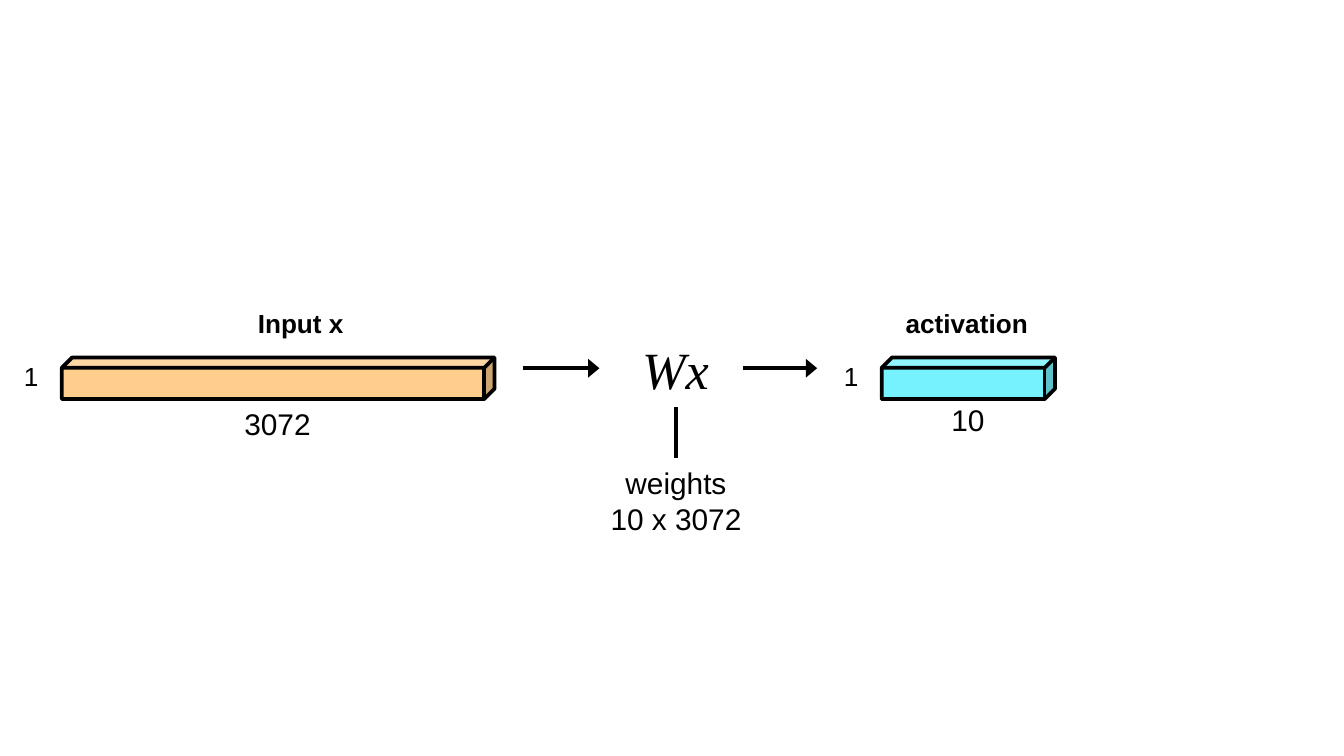
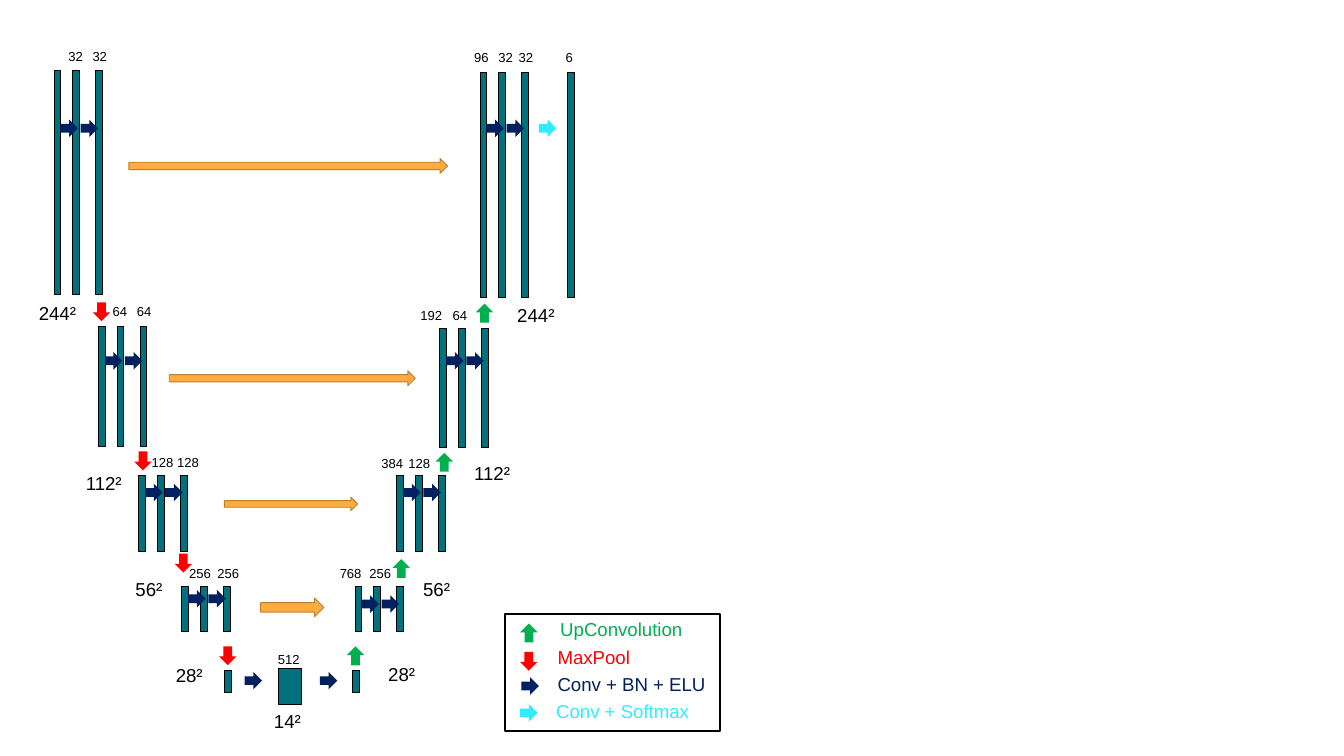
"""Build two network diagrams: a linear layer and a U-Net."""
from lxml.etree import SubElement
from pptx import Presentation
from pptx.dml.color import RGBColor
from pptx.enum.shapes import MSO_CONNECTOR, MSO_SHAPE as SHAPE
from pptx.enum.text import MSO_AUTO_SIZE, PP_ALIGN
from pptx.oxml.ns import qn
from pptx.util import Inches, Pt

rgb = RGBColor.from_string
BLACK, TEAL, NAVY = "000000", "00717D", "002060"
GREEN, RED, CYAN = "00B050", "FF0000", "31EBFF"
ORANGE, BROWN = "FFAB40", "BD7F2F"
ARROW = 0.13


def add_shape(s, kind, x, y, w, h, fill=None, line=None, width=0.25, rotation=0):
    sp = s.shapes.add_shape(kind, Inches(x), Inches(y), Inches(w), Inches(h))
    sp.shadow.inherit = False
    sp.rotation = rotation
    if fill:
        sp.fill.solid()
        sp.fill.fore_color.rgb = rgb(fill)
    else:
        sp.fill.background()
    if line:
        sp.line.color.rgb = rgb(line)
        sp.line.width = Pt(width)
    else:
        sp.line.fill.background()


def add_text(s, text, x, y, w, h, size, color=BLACK, font="Arial",
             bold=False, italic=False, wrap=False):
    box = s.shapes.add_textbox(Inches(x), Inches(y), Inches(w), Inches(h))
    tf = box.text_frame
    tf.word_wrap = wrap
    tf.auto_size = MSO_AUTO_SIZE.SHAPE_TO_FIT_TEXT
    p = tf.paragraphs[0]
    p.text = text
    p.font.name, p.font.size = font, Pt(size)
    p.font.bold, p.font.italic = bold, italic
    p.font.color.rgb = rgb(color)
    return box


prs = Presentation()
prs.slide_width = Inches(10)
prs.slide_height = prs.slide_width * 9 // 16
blank = prs.slide_layouts[6]

s = prs.slides.add_slide(blank)
for x, w, fill in [(0.46, 3.22, "FFCD8C"), (6.56, 1.29, "76F2FF")]:
    add_shape(s, SHAPE.CUBE, x, 2.66, w, 0.31, fill, BLACK, 2)
    add_text(s, "1", x - 0.38, 2.63, 0.31, 0.34, 14)
add_text(s, "Input x", 1.82, 2.24, 0.84, 0.34, 14, bold=True)
add_text(s, "activation", 6.64, 2.24, 1.11, 0.34, 14, bold=True)
add_text(s, "3072", 1.72, 2.97, 0.7, 0.37, 16)
add_text(s, "10", 6.98, 2.94, 0.45, 0.37, 16, wrap=True)
product = add_text(s, "Wx", 4.68, 2.46, 0.7, 0.57, 28,
                   font="Times New Roman", italic=True)
weights = add_text(s, "weights 10 x 3072", 4.41, 3.41, 1.24, 0.64, 16, wrap=True)
weights.text_frame.paragraphs[0].alignment = PP_ALIGN.CENTER

for x1, y1, x2, y2, width in [(3.89, 2.74, 4.46, 2.74, 2),
                              (5.53, 2.74, 6.08, 2.74, 2),
                              (5.03, 3.03, 5.03, 3.41, 1.75)]:
    line = s.shapes.add_connector(MSO_CONNECTOR.STRAIGHT, Inches(x1), Inches(y1),
                                  Inches(x2), Inches(y2))
    line.line.color.rgb = rgb(BLACK)
    line.line.width = Pt(width)
    if y1 == y2:
        SubElement(line.line._get_or_add_ln(), qn("a:tailEnd"),
                   type="triangle", w="lg", len="med")
    else:
        line.begin_connect(product, 2)
        line.end_connect(weights, 0)
    SubElement(line._element.spPr, qn("a:effectLst"))

s = prs.slides.add_slide(blank)
stages = [
    (0.4, 0.52, 1.67, 0.89, 0.31, [("32", 0.41), ("32", 0.59)]),
    (0.73, 2.43, 0.89, 2.62, 2.21, [("64", 0.74), ("64", 0.92)]),
    (1.03, 3.54, 0.56, 3.6, 3.33, [("128", 1.03), ("128", 1.22)]),
    (1.35, 4.36, 0.34, 4.39, 4.16, [("256", 1.31), ("256", 1.52)]),
    (2.64, 4.36, 0.34, 4.43, 4.16, [("768", 2.43), ("256", 2.65)]),
    (2.95, 3.54, 0.56, 3.6, 3.34, [("384", 2.74), ("128", 2.94)]),
    (3.27, 2.44, 0.89, 2.62, 2.24, [("192", 3.03), ("64", 3.27)]),
    (3.57, 0.54, 1.67, 0.89, 0.32,
     [("96", 3.43), ("32", 3.61), ("32", 3.76), ("6", 4.11)]),
]
bars = [(1.67, 4.99, 0.05, 0.16), (2.07, 4.97, 0.17, 0.27),
        (2.62, 4.99, 0.05, 0.16), (4.22, 0.54, 0.05, 1.67)]
convs = [(1.82, 5), (2.38, 5), (3.88, 5.04)]
channels = [("512", 1.97, 4.8)]
for x, top, height, conv_y, label_y, labels in stages:
    bars += [(x + dx, top, 0.05, height) for dx in (0, 0.14, 0.31)]
    convs += [(x + dx, conv_y) for dx in (0.05, 0.2)]
    channels += [(text, label_x, label_y) for text, label_x in labels]

for x, y, w, h in bars:
    add_shape(s, SHAPE.FLOWCHART_PROCESS, x, y, w, h, TEAL, BLACK)
for text, x, y in channels:
    add_text(s, text, x, y, 0.21 + 0.05 * len(text), 0.22, 7)
for text, x, y in [("244²", 0.19, 2.2), ("112²", 0.54, 3.46), ("56²", 0.91, 4.25),
                   ("28²", 1.21, 4.89), ("14²", 1.94, 5.23), ("28²", 2.79, 4.88),
                   ("56²", 3.05, 4.25), ("112²", 3.43, 3.39), ("244²", 3.75, 2.21)]:
    add_text(s, text, x, y, 0.16 + 0.08 * len(text), 0.27, 10)

for x, y, w, h in [(0.96, 1.18, 2.37, 0.11), (1.26, 2.76, 1.83, 0.11),
                   (1.67, 3.7, 0.99, 0.1), (1.94, 4.45, 0.47, 0.14)]:
    add_shape(s, SHAPE.RIGHT_ARROW, x, y, w, h, ORANGE, BROWN, 0.5)

add_shape(s, SHAPE.FLOWCHART_PROCESS, 3.76, 4.57, 1.6, 0.87, None, BLACK, 1)
for text, x, y, w, color in [("UpConvolution", 4.07, 4.55, 1.12, GREEN),
                             ("MaxPool", 4.05, 4.76, 0.75, RED),
                             ("Conv + BN + ELU", 4.05, 4.96, 1.31, NAVY),
                             ("Conv + Softmax", 4.04, 5.16, 1.2, CYAN)]:
    add_text(s, text, x, y, w, 0.27, 10, color)

pools = [(0.69, 2.25), (1, 3.36), (1.3, 4.12), (1.63, 4.81), (3.87, 4.85)]
upconvs = [(2.58, 4.81), (2.92, 4.16), (3.24, 3.37), (3.54, 2.26), (3.87, 4.64)]
softmaxes = [(4.01, 0.89), (3.87, 5.24)]
for kind, places, h, color, rotation in [
        (SHAPE.DOWN_ARROW, pools, 0.14, RED, 0),
        (SHAPE.DOWN_ARROW, upconvs, 0.14, GREEN, 180),
        (SHAPE.RIGHT_ARROW, convs, ARROW, NAVY, 0),
        (SHAPE.RIGHT_ARROW, softmaxes, ARROW, CYAN, 0)]:
    for x, y in places:
        add_shape(s, kind, x, y, ARROW, h, color, rotation=rotation)

prs.save("out.pptx")
